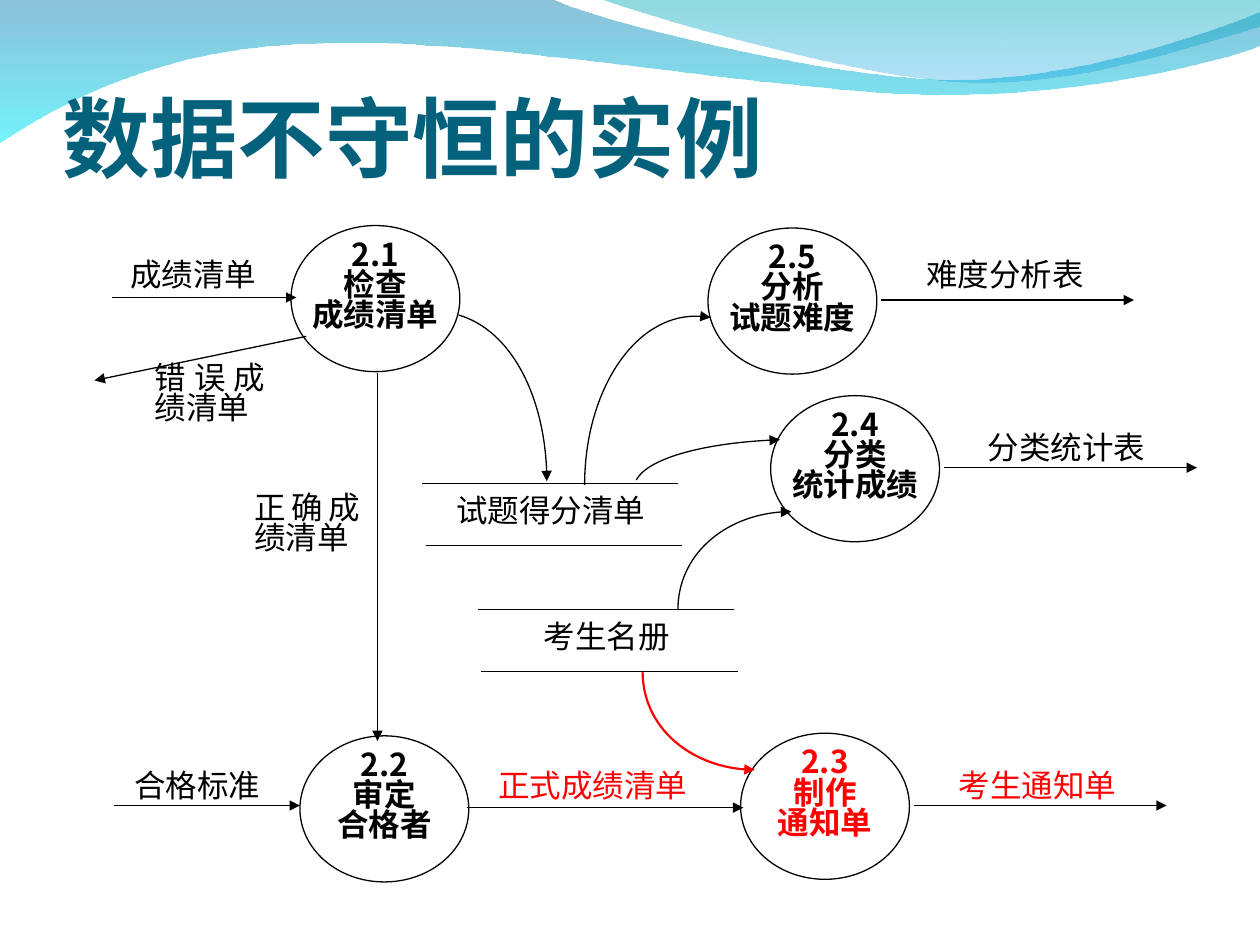
from pptx import Presentation
from pptx.dml.color import RGBColor
from pptx.enum.shapes import MSO_CONNECTOR as CONN, MSO_SHAPE as SHAPE
from pptx.enum.text import MSO_ANCHOR as ANCHOR, PP_ALIGN as ALIGN
from pptx.oxml.ns import qn
from pptx.util import Pt
from lxml.etree import SubElement

FONT = "Noto Sans CJK SC"
COLORS = {"black": "000000", "red": "FF0000", "title": "04617B",
          "blue": "0079AF", "cyan": "00EBF8", "teal": "00ADB6", "sky": "009BE5"}


def rgb(name):
    return RGBColor.from_string(COLORS[name])


def add_text(s, box, lines, color="black", size=18, bold=False, align=ALIGN.CENTER,
             spacing=0.8, anchor=ANCHOR.TOP, insets=(7.2, 3.6, 7.2, 3.6)):
    tf = s.shapes.add_textbox(*map(Pt, box)).text_frame
    sides = ("margin_left", "margin_top", "margin_right", "margin_bottom")
    frame = {"word_wrap": True, "vertical_anchor": anchor, **dict(zip(sides, map(Pt, insets)))}
    for key, value in frame.items():
        setattr(tf, key, value)
    for i, line in enumerate(lines):
        p = tf.add_paragraph() if i else tf.paragraphs[0]
        p.alignment, p.line_spacing = align, spacing
        r = p.add_run()
        r.text = line
        for key, value in {"name": FONT, "size": Pt(size), "bold": bold}.items():
            setattr(r.font, key, value)
        r.font.color.rgb = rgb(color)
        SubElement(r._r.get_or_add_rPr(), qn("a:ea"), typeface=FONT)


def style_line(shape, color="black", width=0.75, arrow=True):
    shape.line.color.rgb = rgb(color)
    shape.line.width = Pt(width)
    if arrow:
        SubElement(shape.line._get_or_add_ln(), qn("a:tailEnd"), type="triangle")


def add_line(s, start, end, arrow=True):
    c = s.shapes.add_connector(CONN.STRAIGHT, *map(Pt, (*start, *end)))
    style_line(c, arrow=arrow)
    SubElement(c._element.spPr, qn("a:effectLst"))


def add_outline(s, start, steps, close=False):
    fb = s.shapes.build_freeform(*map(Pt, start))
    points = [(Pt(x), Pt(y)) for step in steps for x, y in step]
    fb.add_line_segments(points, close=close)
    shape = fb.convert_to_shape()
    shape.shadow.inherit = False
    nodes = iter(list(shape._element.iter(qn("a:lnTo"))))
    for step in steps:
        group = [next(nodes) for _ in step]
        if len(group) == 3:
            group[0].tag = qn("a:cubicBezTo")
            for node in group[1:]:
                group[0].append(node[0])
                node.getparent().remove(node)
    return shape


def add_curve(s, start, *controls, color="black", width=0.75):
    steps = [controls[i:i + 3] for i in range(0, len(controls), 3)]
    shape = add_outline(s, start, steps)
    shape.fill.background()
    style_line(shape, color, width)


def add_wave(s, start, steps, stops):
    shape = add_outline(s, start, steps, close=True)
    shape.line.fill.background()
    shape.fill.gradient()
    shape.fill.gradient_angle = 270
    for stop, (position, color, opacity) in zip(shape.fill.gradient_stops, stops):
        stop.position = position
        stop.color.rgb = rgb(color)
        clr = stop._gs.find(qn("a:srgbClr"))
        SubElement(clr, qn("a:alpha"), val=str(opacity * 1000))


def add_header(s, box):
    x, y, w, h = box
    add_wave(s, (x, y), [
        [(x + 316.8, y)],
        [(342.7, 12.2), (478.1, 45.4), (545.8, 45.4)],
        [(614.2, 45.4), (689.8, 18.7), (x + w, 6.5)],
        [(x + w, 25.9)],
        [(707.8, 31.7), (626.4, 54.7), (537.1, 54)],
        [(447.8, 54), (275, 20.2), (185, 24.5)],
        [(92.9, 25.2), (33.1, 59.8), (x, y + h)],
    ], [(0, "blue", 45), (1, "cyan", 55)])
    add_wave(s, (x + 344.9, y), [
        [(366.5, 7.9), (491, 44.6), (553.7, 46.8)],
        [(616.3, 49.7), (691.9, 23), (x + w, 15.1)],
        [(x + w, y)],
    ], [(0, "teal", 45), (1, "sky", 30)])


def add_process(s, box, lines, color="black"):
    x, y, w, h = box
    oval = s.shapes.add_shape(SHAPE.OVAL, *map(Pt, box))
    oval.shadow.inherit = False
    oval.fill.background()
    style_line(oval, arrow=False)
    add_text(s, (x - 7.2, y + 5.8, w + 14.4, h - 7.2), lines, color, bold=True)


def add_store(s, box, name, label_x, label_w):
    x, y, w, h = box
    add_line(s, (x, y), (x + w, y), arrow=False)
    add_line(s, (x + 2, y + h), (x + 2 + w, y + h), arrow=False)
    add_text(s, (label_x, y + 4.7, label_w, 44), [name])


def add_flow(s, box, name, start, end, color="black", align=ALIGN.CENTER):
    add_line(s, start, end)
    add_text(s, box, [name], color, align=align)


def add_diagram(s):
    w, h = 96.5, 83.5
    processes = [
        (166.3, 128.9, ["2.1", "检查", "成绩清单"], "black"),
        (171.4, 420.5, ["2.2", "审定", "合格者"], "black"),
        (423.2, 419, ["2.3", "制作", "通知单"], "red"),
        (440.4, 226.1, ["2.4", "分类", "统计成绩"], "black"),
        (404.6, 130.3, ["2.5", "分析", "试题难度"], "black"),
    ]
    for x, y, lines, color in processes:
        add_process(s, (x, y, w, h), lines, color)

    add_store(s, (241.2, 276.3, 146.4, 35.3), "试题得分清单", 244.8, 139.7)
    add_store(s, (273.1, 348.4, 146.4, 35.3), "考生名册", 292.3, 108.7)

    flows = [
        ((56.9, 146.2, 107.3, 45.4), "成绩清单", (63.8, 170), (169.4, 170)),
        ((59, 438.5, 107.3, 45.4), "合格标准", (65.4, 460.3), (171.4, 460.3)),
        ((270, 438.5, 137.5, 45.4), "正式成绩清单", (266.7, 461.5), (424.8, 461.5), "red"),
        ((524.2, 438.5, 137.5, 45.4), "考生通知单", (522, 460.3), (666.7, 460.3), "red"),
        ((540.7, 245.5, 137.5, 45.4), "分类统计表", (539.3, 267.3), (684, 267.3)),
        ((505.4, 146.2, 137.5, 45.4), "难度分析表", (503.3, 171.5), (648, 171.5)),
        ((138.2, 279.4, 74.9, 45.4), "正确成绩清单", (215.7, 213.1), (215.7, 423.4),
         "black", ALIGN.JUSTIFY),
        ((81.4, 205.2, 77, 46.8), "错误成绩清单", (175, 192.2), (54, 217.4),
         "black", ALIGN.JUSTIFY),
    ]
    for flow in flows:
        add_flow(s, *flow)

    add_curve(s, (262.1, 180), (291.6, 188.6), (312.5, 228.2), (312.5, 275))
    add_curve(s, (334.1, 277.2), (334.1, 223.9), (362.2, 180.7), (397.4, 180.7),
              (400.3, 180.7), (403.2, 180.7), (406.1, 181.4))
    add_curve(s, (363.6, 274.3), (370.1, 262.1), (403.9, 252.7), (445.7, 251.3))
    add_curve(s, (387.4, 348.4), (387.4, 317.5), (416.2, 292.3), (452.2, 292.3))
    add_curve(s, (367.2, 383.8), (367.2, 414.7), (396, 439.9), (431.3, 439.9),
              color="red", width=1.25)


def main():
    prs = Presentation()
    prs.slide_width, prs.slide_height = Pt(720), Pt(540)
    s = prs.slides.add_slide(prs.slide_layouts[6])
    add_header(s, (-0.5, -0.5, 721, 82))
    add_text(s, (36, 18, 648, 90), ["数据不守恒的实例"], "title", 50, True, ALIGN.LEFT,
             1.0, ANCHOR.BOTTOM, (0, 3.6, 0, 0))
    add_diagram(s)
    prs.save("out.pptx")


if __name__ == "__main__":
    main()
